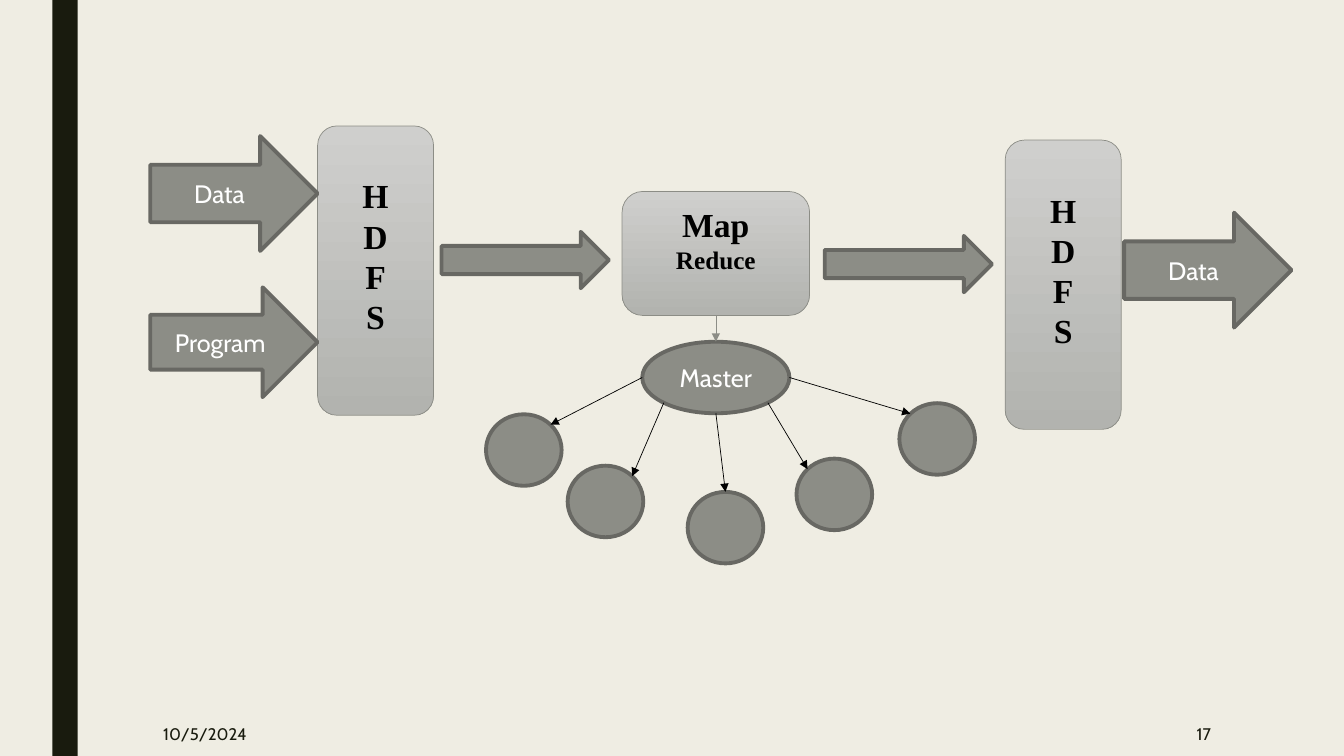
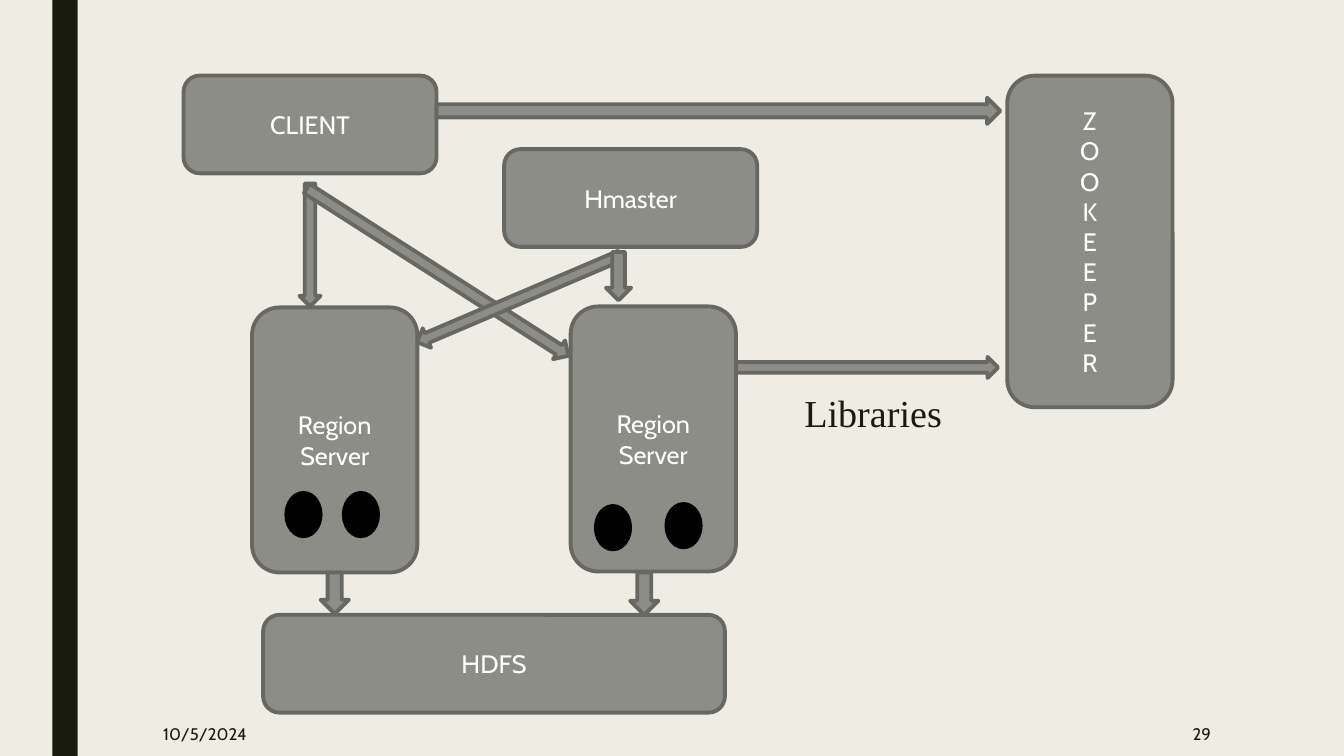
"""Build two architecture diagrams: a MapReduce flow and a region server cluster."""
from math import cos, radians, sin

from lxml.etree import SubElement
from pptx import Presentation
from pptx.dml.color import RGBColor
from pptx.enum.shapes import MSO_CONNECTOR, MSO_SHAPE
from pptx.enum.text import MSO_ANCHOR, PP_ALIGN
from pptx.oxml.ns import qn
from pptx.util import Inches, Pt

PAPER, INK, BLACK, WHITE = "EFEDE3", "191B0E", "000000", "FFFFFF"
GRAY, EDGE, PALE, MIST = "8C8D86", "686863", "CFCFCD", "B2B3AF"
SANS, SERIF = "Cabin", "Times New Roman"
RECT, ROUND, OVAL = MSO_SHAPE.RECTANGLE, MSO_SHAPE.ROUNDED_RECTANGLE, MSO_SHAPE.OVAL
RIGHT, DOWN = MSO_SHAPE.RIGHT_ARROW, MSO_SHAPE.DOWN_ARROW

LOOKS = {
    "band": {"fill": [INK], "line": None},
    "solid": {"fill": [GRAY], "line": (EDGE, 2.75)},
    "pale": {"fill": [PALE, MIST], "line": (GRAY, 0.5)},
    "dot": {"fill": [BLACK], "line": (BLACK, 2.75)},
}
TEXTS = {
    "label": {"name": SANS, "size": 18, "color": WHITE},
    "heading": {"name": SERIF, "size": 24, "color": BLACK, "bold": True},
    "subheading": {"name": SERIF, "size": 18, "color": BLACK, "bold": True},
    "footer": {"name": SANS, "size": 12, "color": INK},
    "note": {"name": SERIF, "size": 27.2, "color": INK},
}

DATE = "10/5/2024"
STORES = [(3.15, 1.25), (9.97, 1.39)]
STORE_SIZE = (1.15, 2.87)
MAP_REDUCE = (6.17, 1.9, 1.86, 1.23)
FLOW_ARROWS = [
    ("Data", (1.49, 1.35, 1.66, 1.14)),
    ("Program", (1.49, 2.85, 1.66, 1.09)),
    ("", (4.38, 2.3, 1.66, 0.56)),
    ("", (8.18, 2.34, 1.66, 0.56)),
    ("Data", (11.15, 2.11, 1.66, 1.14)),
]
MASTER = (6.37, 3.39, 1.46, 0.71)
WORKER_SIZE = (0.75, 0.71)
WORKERS = [
    ((4.82, 4.11), 180, 315),
    ((5.63, 4.62), 135, 315),
    ((6.82, 4.88), 90, 270),
    ((7.9, 4.55), 45, 225),
    ((8.92, 4), 0, 225),
]

CLUSTER_BOXES = [
    ("CLIENT", (1.82, 0.75, 2.51, 0.97)),
    ("Hmaster", (5, 1.48, 2.51, 0.97)),
    ("Region\nServer", (2.5, 3.05, 1.64, 2.63)),
    ("Region Server", (5.66, 3.04, 1.64, 2.63)),
    ("\n".join("ZOOKEEPER"), (9.99, 0.75, 1.64, 3.29)),
    ("HDFS", (2.61, 6.1, 4.58, 0.97)),
]
CLUSTER_ARROWS = [
    (DOWN, (3.18, 5.68, 0.28, 0.41), 0),
    (DOWN, (6.25, 5.68, 0.28, 0.42), 0),
    (RIGHT, (4.33, 0.97, 5.59, 0.26), 0),
    (DOWN, (2.97, 1.82, 0.21, 1.22), 0),
    (DOWN, (4.23, 1.16, 0.22, 3.08), 302.6),
    (DOWN, (5.04, 1.87, 0.21, 2.19), 66.9),
    (DOWN, (6.01, 2.5, 0.25, 0.48), 0),
    (RIGHT, (7.3, 3.54, 2.6, 0.21), 0),
]
DOT_SIZE = (0.34, 0.43)
DOTS = [(2.84, 4.89), (3.41, 4.89), (5.91, 5.02), (6.61, 5)]


def rgb(value):
    return RGBColor.from_string(value)


def inches(values):
    return [Inches(value) for value in values]


def write(box, lines, align=PP_ALIGN.CENTER, anchor=MSO_ANCHOR.MIDDLE, spacing=None):
    frame = box.text_frame
    frame.word_wrap = True
    frame.vertical_anchor = anchor
    for index, (text, style) in enumerate(lines):
        para = frame.add_paragraph() if index else frame.paragraphs[0]
        para.alignment = align
        para.line_spacing = spacing
        span = para.add_run()
        span.text = text
        for key, value in TEXTS[style].items():
            if key == "color":
                span.font.color.rgb = rgb(value)
            else:
                setattr(span.font, key, Pt(value) if key == "size" else value)


def draw(page, kind, place, look="solid", text="", style="label", turn=0):
    shape = page.shapes.add_shape(kind, *inches(place))
    shape.shadow.inherit = False
    shape.rotation = turn
    fill, line = LOOKS[look]["fill"], LOOKS[look]["line"]
    if len(fill) > 1:
        shape.fill.gradient()
        shape.fill.gradient_angle = 270
        for stop, color in zip(shape.fill.gradient_stops, fill):
            stop.color.rgb = rgb(color)
    else:
        shape.fill.solid()
        shape.fill.fore_color.rgb = rgb(fill[0])
    if line:
        shape.line.color.rgb = rgb(line[0])
        shape.line.width = Pt(line[1])
    else:
        shape.line.fill.background()
    if text:
        write(shape, [(part, style) for part in text.split("\n")])
    return shape


def link(page, start, end, color):
    line = page.shapes.add_connector(MSO_CONNECTOR.STRAIGHT, *inches(start + end))
    line.line.color.rgb = rgb(color)
    line.line.width = Pt(0.5)
    SubElement(line.line._get_or_add_ln(), qn("a:tailEnd"), type="triangle")
    SubElement(line._element.spPr, qn("a:effectLst"))
    return line


def rim(place, degrees):
    left, top, width, height = place
    angle = radians(degrees)
    return (left + width / 2 * (1 + cos(angle)), top + height / 2 * (1 + sin(angle)))


def add_page(deck, number):
    page = deck.slides.add_slide(deck.slide_layouts[6])
    draw(page, RECT, (0.52, 0, 0.25, 7.5), "band")
    footers = [(DATE, 1.52, 1.32, PP_ALIGN.LEFT), (number, 10.36, 1.75, PP_ALIGN.RIGHT)]
    for text, left, width, align in footers:
        box = page.shapes.add_textbox(*inches((left, 7.06, width, 0.44)))
        write(box, [(text, "footer")], align)
    return page


def build_flow(deck):
    page = add_page(deck, "17")
    for corner in STORES:
        store = draw(page, ROUND, corner + STORE_SIZE, "pale", "\n".join("HDFS"), "heading")
        store.text_frame.margin_bottom = Inches(0.34)
    map_reduce = draw(page, ROUND, MAP_REDUCE, "pale")
    write(map_reduce, [("Map", "heading"), ("Reduce", "subheading")])
    map_reduce.text_frame.margin_bottom = Inches(0.34)
    for text, place in FLOW_ARROWS:
        draw(page, RIGHT, place, text=text)
    draw(page, OVAL, MASTER, text="Master")
    for corner, leave, arrive in WORKERS:
        worker = corner + WORKER_SIZE
        draw(page, OVAL, worker)
        link(page, rim(MASTER, leave), rim(worker, arrive), BLACK)
    drop = link(page, rim(MAP_REDUCE, 90), rim(MASTER, 270), GRAY)
    drop.begin_connect(map_reduce, 2)


def build_cluster(deck):
    page = add_page(deck, "29")
    for text, place in CLUSTER_BOXES:
        draw(page, ROUND, place, text=text)
    note = page.shapes.add_textbox(*inches((7.88, 3.91, 1.63, 0.78)))
    write(note, [("Libraries", "note")], PP_ALIGN.LEFT, MSO_ANCHOR.TOP, 0.79)
    for kind, place, turn in CLUSTER_ARROWS:
        draw(page, kind, place, turn=turn)
    for corner in DOTS:
        draw(page, OVAL, corner + DOT_SIZE, "dot")


def main():
    deck = Presentation()
    deck.slide_width, deck.slide_height = inches((13.33, 7.5))
    backdrop = deck.slide_master.background.fill
    backdrop.solid()
    backdrop.fore_color.rgb = rgb(PAPER)
    build_flow(deck)
    build_cluster(deck)
    deck.save("out.pptx")


if __name__ == "__main__":
    main()
